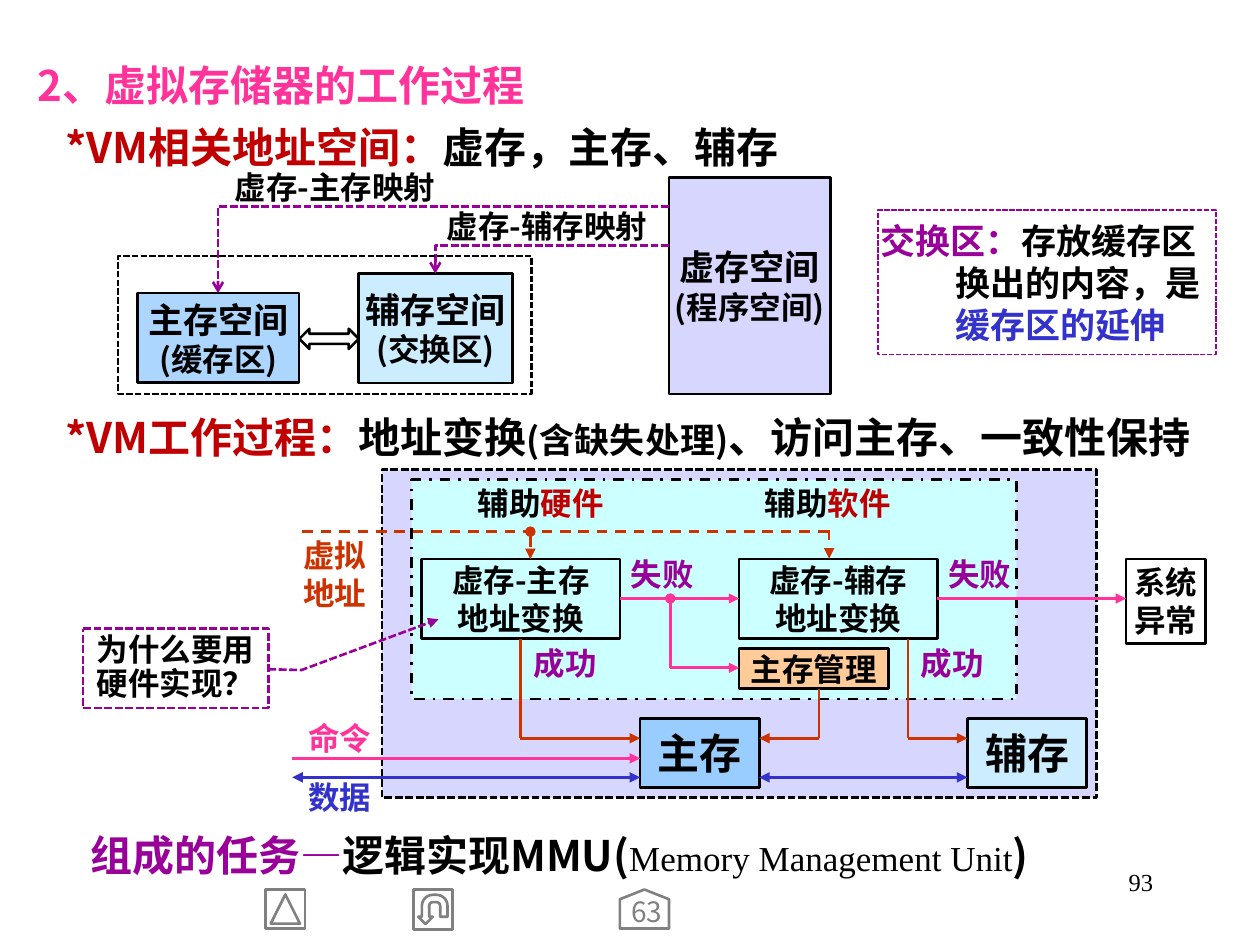
from dataclasses import dataclass

from lxml.etree import SubElement
from pptx import Presentation
from pptx.dml.color import RGBColor
from pptx.enum.dml import MSO_LINE as Dash
from pptx.enum.shapes import MSO_CONNECTOR as Conn, MSO_SHAPE as Shp
from pptx.enum.text import MSO_ANCHOR as Anchor, MSO_AUTO_SIZE as Auto, PP_ALIGN as Align
from pptx.oxml.ns import qn
from pptx.util import Pt


@dataclass(frozen=True)
class Theme:
    font: str = "Noto Sans CJK SC"
    serif: str = "Times New Roman"
    black: str = "000000"
    gray: str = "808080"
    pink: str = "FF3399"
    red: str = "C00000"
    purple: str = "990099"
    blue: str = "3333CC"
    rust: str = "CC3300"
    lavender: str = "CCCCFF"
    sky: str = "99CCFF"
    pale: str = "CCECFF"
    cyan: str = "CCFFFF"
    peach: str = "FFCC99"
    head: int = 24
    mid: int = 20
    body: int = 18
    button: int = 16
    number: int = 14


T = Theme()
TIGHT = (1.5, 0.75, 1.5, 0.75)
DEFAULT = (7.2, 3.6, 7.2, 3.6)


def add_run(p, text, color=T.black, size=T.body, font=T.font, bold=True):
    r = p.add_run()
    r.text = text
    r.font.name, r.font.size, r.font.bold = font, Pt(size), bold
    r.font.color.rgb = RGBColor.from_string(color)
    SubElement(r.font._element, qn("a:ea"), typeface=font)


def write(sp, paragraphs, align=Align.CENTER, anchor=Anchor.MIDDLE, insets=TIGHT, spacing=None):
    """Fill a shape with paragraphs, each a list of add_run argument tuples."""
    tf = sp.text_frame
    tf.word_wrap, tf.auto_size, tf.vertical_anchor = True, Auto.NONE, anchor
    tf.margin_left, tf.margin_top, tf.margin_right, tf.margin_bottom = map(Pt, insets)
    for i, runs in enumerate(paragraphs):
        p = tf.add_paragraph() if i else tf.paragraphs[0]
        p.alignment, p.line_spacing = align, spacing
        for run in runs:
            add_run(p, *run)


def set_indent(sp, first, left=0):
    pPr = sp.text_frame.paragraphs[0]._p.get_or_add_pPr()
    pPr.set("marL", str(Pt(left)))
    pPr.set("indent", str(Pt(first)))


def add_text(s, at, paragraphs, **options):
    sp = s.shapes.add_textbox(*map(Pt, at))
    write(sp, paragraphs, **options)
    return sp


def add_heading(s, at, runs, indent):
    sp = add_text(s, at, [runs], align=Align.LEFT, anchor=Anchor.TOP, insets=DEFAULT, spacing=1.25)
    set_indent(sp, indent)


def style_line(line, color, width, dash=None):
    line.color.rgb = RGBColor.from_string(color)
    line.width = Pt(width)
    if dash:
        line.dash_style = dash


def add_ends(sp, head=None, tail=None):
    ln = sp.line._get_or_add_ln()
    for tag, kind in (("a:headEnd", head), ("a:tailEnd", tail)):
        if kind:
            SubElement(ln, qn(tag), type=kind)


def add_box(s, at, fill=None, paragraphs=(), line=T.black, width=1.5, dash=None,
            alpha=None, kind=Shp.RECTANGLE, rotation=0, **options):
    sp = s.shapes.add_shape(kind, *map(Pt, at))
    sp.shadow.inherit = False
    sp.rotation = rotation
    if fill:
        sp.fill.solid()
        sp.fill.fore_color.rgb = RGBColor.from_string(fill)
        if alpha:
            color = sp.fill._xPr.find(qn("a:solidFill"))[0]
            SubElement(color, qn("a:alpha"), val=str(alpha * 1000))
    else:
        sp.fill.background()
    style_line(sp.line, line, width, dash)
    if paragraphs:
        write(sp, paragraphs, **options)
    return sp


def add_line(s, points, color, head=None, tail=None, width=1.5, dash=None, bent=False):
    """Draw a connector; a bent one turns once, horizontal part first."""
    c = s.shapes.add_connector(Conn.ELBOW if bent else Conn.STRAIGHT, *map(Pt, points))
    style_line(c.line, color, width, dash)
    add_ends(c, head, tail)
    spPr = c._element.spPr
    if bent:
        spPr.find(qn("a:prstGeom")).set("prst", "bentConnector2")
    SubElement(spPr, qn("a:effectLst"))


def add_headings(s):
    title = s.shapes.title
    title.left, title.top, title.width, title.height = map(Pt, (14.4, 23, 692, 39))
    write(title, [[("2、虚拟存储器的工作过程", T.pink, T.head)]], Align.LEFT, Anchor.TOP, DEFAULT, 1.25)
    add_heading(s, (14.4, 59, 689, 44), [("*VM相关地址空间：", T.red, T.head),
                                         ("虚存，主存、辅存", T.black, T.head)], 16)
    add_heading(s, (14.4, 224.6, 692, 44), [
        ("*VM工作过程：", T.red, T.head), ("地址变换", T.black, T.head),
        ("(含缺失处理)", T.black, T.mid), ("、访问主存、一致性保持", T.black, T.head)], 16)
    add_heading(s, (11.5, 463, 692, 44), [
        ("组成的任务—", T.purple, T.head), ("逻辑实现MMU(", T.black, T.head),
        ("Memory Management Unit", T.black, T.mid, T.serif, False),
        (")", T.black, T.head)], 33)


def add_address_spaces(s):
    for at, fill, alpha, name, role in (
            ((78.5, 167.5, 92.5, 51.2), T.sky, 80, "主存空间", "(缓存区)"),
            ((382.3, 101.3, 92.2, 123.8), T.lavender, 80, "虚存空间", "(程序空间)"),
            ((205, 156.3, 88, 62.6), T.pale, None, "辅存空间", "(交换区)")):
        add_box(s, at, fill, [[(name, T.black, T.mid)], [(role,)]], alpha=alpha)
    for points in ((382.3, 118.1, 124.6, 167.5), (382.3, 140.4, 248.8, 156.3)):
        add_line(s, points, T.purple, tail="arrow", dash=Dash.SQUARE_DOT, bent=True)
    add_box(s, (171, 187.9, 34, 11.5), kind=Shp.LEFT_RIGHT_ARROW)
    swap = add_box(s, (501.8, 120.2, 193, 82.5), None, [[
        ("交换区：", T.purple, T.mid), ("存放缓存区换出的内容，是", T.black, T.mid),
        ("缓存区的延伸", T.blue, T.mid)]],
        line=T.purple, width=1, dash=Dash.SQUARE_DOT, align=Align.LEFT)
    set_indent(swap, -42.5, 42.5)
    add_box(s, (67.5, 146.4, 236.2, 78.6), width=1.25, dash=Dash.SQUARE_DOT)
    for at, target in (((123.8, 95.8), "主存"), ((244.8, 118.1), "辅存")):
        add_text(s, (*at, 135.4, 22.3), [[(f"虚存-{target}映射",)]])


def add_process_boxes(s):
    add_box(s, (218.2, 268.3, 408.5, 187.5), T.lavender, dash=Dash.SQUARE_DOT, alpha=80)
    for x, fill, name in ((365.8, T.sky, "主存"), (552.8, T.pale, "辅存")):
        add_box(s, (x, 410.4, 68.2, 39.6), fill, [[(name, T.black, T.head)]])
    add_box(s, (235.3, 274.2, 345.6, 125.3), T.cyan, dash=Dash.DASH_DOT)
    for x, target in ((241, "主存"), (422.4, "辅存")):
        add_box(s, (x, 319.5, 113.3, 45.4), None, [[(f"虚存-{target}",)], [("地址变换",)]])
    add_box(s, (422.4, 370.6, 85.2, 22.9), T.peach, [[("主存管理",)]])
    add_box(s, (643.5, 319.5, 45.4, 48.2), None, [[("系统",)], [("异常",)]])
    note = add_box(s, (47.5, 359.3, 105.8, 45.4), None, [[("为什么要用硬件实现？",)]],
                   line=T.purple, dash=Dash.SQUARE_DOT, kind=Shp.LINE_CALLOUT_2,
                   insets=(2.9, 1.4, 2.9, 1.4), spacing=0.9)
    for i, value in enumerate((0.51, 1, 0.52, 1.18, -0.12, 1.92)):
        note.adjustments[i] = value
    add_ends(note, tail="triangle")


def add_process_labels(s):
    for at, color, lines in (
            ((172.8, 444.2, 42.5, 22.3), T.blue, ["数据"]),
            ((169.9, 308.2, 42.5, 39.6), T.rust, ["虚拟", "地址"]),
            ((172.8, 410.4, 42.5, 22.3), T.pink, ["命令"]),
            ((303.1, 370.8, 39.6, 16.6), T.purple, ["成功"]),
            ((524.2, 370.8, 39.6, 16.6), T.purple, ["成功"]),
            ((357.1, 319.7, 42.5, 16.6), T.purple, ["失败"]),
            ((538.6, 319.7, 42.5, 16.6), T.purple, ["失败"])):
        add_text(s, at, [[(text, color)] for text in lines])
    for x, kind in ((269.3, "硬件"), (433.4, "软件")):
        add_text(s, (x, 277.2, 79.2, 20.2), [[("辅助",), (kind, T.red)]])


def add_process_lines(s):
    arrow = "triangle"
    for points, color, head, tail in (
            ((167, 433.4, 365.8, 433.4), T.pink, None, arrow),
            ((297.4, 365, 297.4, 421.9), T.rust, None, None),
            ((297.4, 421.9, 365.8, 421.9), T.rust, None, arrow),
            ((354.2, 342, 422.4, 342), T.pink, None, arrow),
            ((383, 342, 383, 381.6), T.pink, "oval", None),
            ((383, 381.6, 422.4, 381.6), T.pink, None, arrow),
            ((535.7, 342, 643.5, 342), T.pink, None, arrow),
            ((518.8, 365, 518.8, 421.9), T.rust, None, None),
            ((518.8, 421.9, 552.8, 421.9), T.rust, None, arrow),
            ((468, 393.5, 468, 421.9), T.rust, None, None),
            ((468, 421.9, 433.8, 421.9), T.rust, None, arrow)):
        add_line(s, points, color, head, tail)
    for x1, x2 in ((167, 365.8), (433.8, 552.8)):
        add_line(s, (x1, 444.2, x2, 444.2), T.blue, arrow, arrow, width=2)
    for points, head, tail in (
            ((172.8, 303.8, 473.8, 303.8), None, None),
            ((303.1, 303.8, 303.1, 319.5), "oval", arrow),
            ((473.8, 302.6, 473.8, 319.2), None, arrow)):
        add_line(s, points, T.rust, head, tail, dash=Dash.DASH)


def add_footer(s):
    add_text(s, (516.2, 491.8, 149.8, 36), [[("93", T.black, T.number, T.serif, False)]],
             align=Align.RIGHT, anchor=Anchor.TOP, insets=DEFAULT)
    for at, kind, rotation in (
            ((151.9, 508.3, 22.3, 22.3), Shp.ACTION_BUTTON_BACK_OR_PREVIOUS, 90),
            ((236.2, 508.3, 22.3, 22.7), Shp.ACTION_BUTTON_RETURN, 180)):
        add_box(s, at, line=T.gray, kind=kind, rotation=rotation)
    plate = add_box(s, (357.1, 505.4, 22.3, 28.1), line=T.gray, kind=Shp.PENTAGON, rotation=270)
    plate.adjustments[0] = 0.25
    add_text(s, (357.1, 514.1, 22.3, 17.3), [[("63", T.gray, T.button, T.font, False)]],
             anchor=Anchor.TOP, insets=(2.9, 0, 0, 0), spacing=0.85)


def main():
    prs = Presentation()
    prs.slide_width, prs.slide_height = Pt(720), Pt(540)
    s = prs.slides.add_slide(prs.slide_layouts[5])
    add_headings(s)
    add_process_boxes(s)
    add_process_labels(s)
    add_process_lines(s)
    add_address_spaces(s)
    add_footer(s)
    prs.save("out.pptx")


if __name__ == "__main__":
    main()
